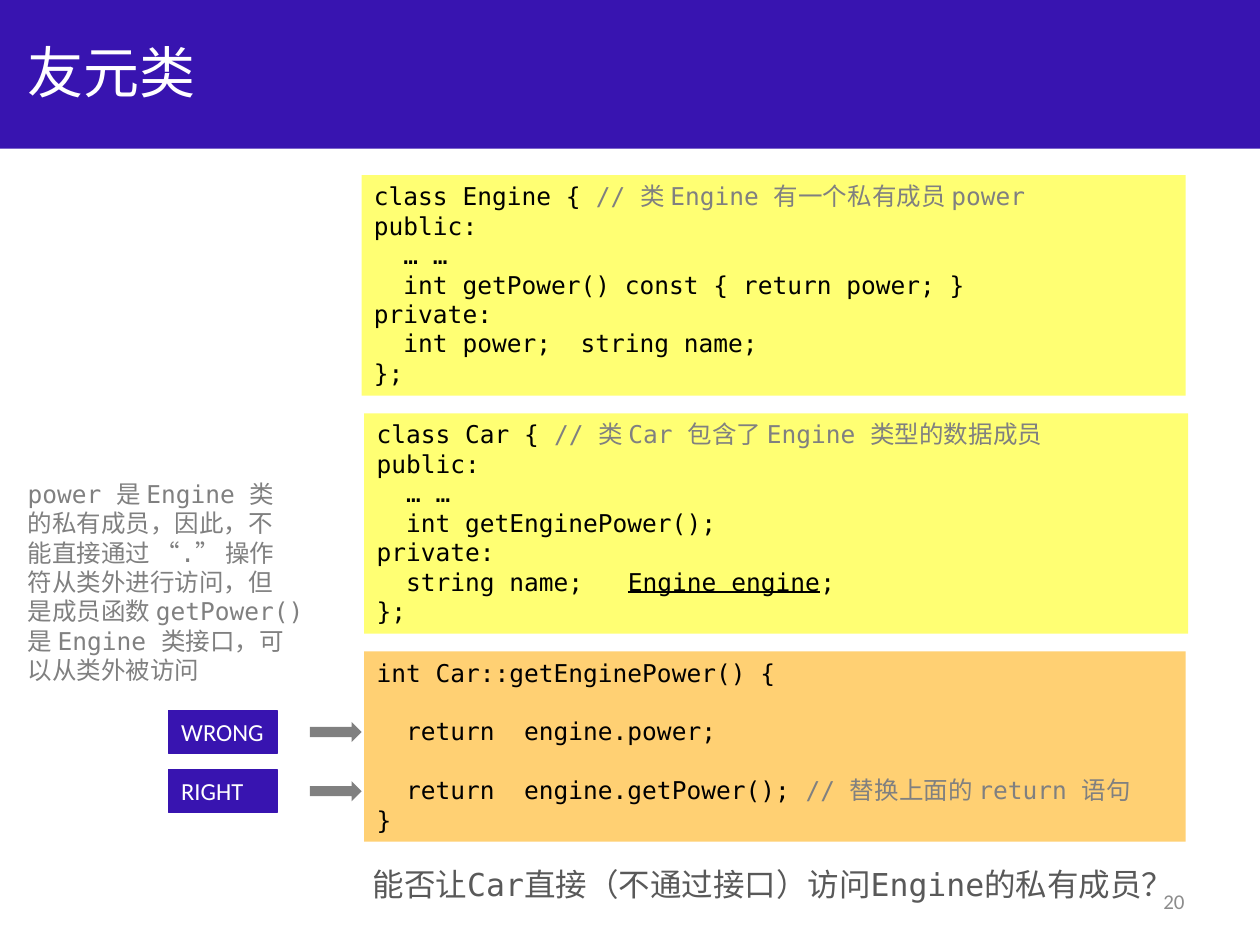
from dataclasses import dataclass
from pptx import Presentation
from pptx.dml.color import RGBColor as Rgb
from pptx.enum.shapes import MSO_SHAPE as Preset
from pptx.enum.text import MSO_ANCHOR as Anchor, PP_ALIGN as Align
from pptx.util import Inches, Pt


@dataclass(frozen=True)
class Theme:
    sans: str = "Calibri"
    mono: str = "DejaVu Sans Mono"
    violet: str = "3814B0"
    yellow: str = "FFFF73"
    orange: str = "FFD073"
    white: str = "FFFFFF"
    black: str = "000000"
    grey: str = "808080"
    dark_grey: str = "595959"
    pale_grey: str = "8C8C8C"
    title: int = 32
    question: int = 18
    body: int = 14
    number: int = 12
    line_height: float = 16.8


theme = Theme()


def add_block(preset, left, top, width, height, fill=None):
    """Add a filled shape, or a text box when there is no fill."""
    place = [Inches(v) for v in (left, top, width, height)]
    if fill is None:
        return page.shapes.add_textbox(*place)
    box = page.shapes.add_shape(preset, *place)
    box.shadow.inherit = False
    box.fill.solid()
    box.fill.fore_color.rgb = Rgb.from_string(fill)
    box.line.fill.background()
    return box


def write(box, lines, font, size, color, anchor=Anchor.TOP, align=Align.LEFT):
    """Write lines; a line is a string or a list of (text, style) spans.

    An empty line becomes spacing above the line that follows it.
    """
    frame = box.text_frame
    frame.word_wrap = True
    frame.vertical_anchor = anchor
    para, gap = None, 0
    for line in lines:
        if not line:
            gap += theme.line_height
            continue
        para = frame.paragraphs[0] if para is None else frame.add_paragraph()
        para.alignment = align
        para.space_before = Pt(gap)
        gap = 0
        para.font.name, para.font.size = font, Pt(size)
        para.font.color.rgb = Rgb.from_string(color)
        for text, style in [(line, None)] if isinstance(line, str) else line:
            span = para.add_run()
            span.text = text
            if style == "comment":
                span.font.color.rgb = Rgb.from_string(theme.grey)
            elif style == "underline":
                span.font.underline = True


deck = Presentation()
deck.slide_width, deck.slide_height = Inches(10), Inches(7.5)
page = deck.slides.add_slide(deck.slide_layouts[5])

# Title on its band
band = add_block(Preset.RECTANGLE, 0, 0, 10, 1.18, theme.violet)
page.shapes._spTree.insert(2, band._element)
title = page.shapes.title
title.left, title.top = Inches(0.12), Inches(0.06)
title.width, title.height = Inches(9), Inches(1.01)
write(title, ["友元类"], theme.sans, theme.title, theme.white, Anchor.MIDDLE)

# Code panels, stacked at an equal pitch
engine_code = [
    [("class Engine { ", None), ("// 类 Engine 有一个私有成员 power", "comment")],
    "public:",
    "  … …",
    "  int getPower() const { return power; }",
    "private:",
    "  int power;  string name;",
    "};",
]
car_code = [
    [("class Car { ", None), ("// 类 Car 包含了 Engine 类型的数据成员", "comment")],
    "public:",
    "  … …",
    "  int getEnginePower();",
    "private:",
    [("  string name;   ", None), ("Engine engine", "underline"), (";", None)],
    "};",
]
method_code = [
    "int Car::getEnginePower() {",
    "",
    "  return  engine.power;",
    "",
    [("  return  engine.getPower(); ", None),
     ("// 替换上面的 return 语句", "comment")],
    "}",
]
panels = [
    (2.87, 6.54, 1.75, theme.yellow, engine_code),
    (2.89, 6.54, 1.75, theme.yellow, car_code),
    (2.89, 6.52, 1.51, theme.orange, method_code),
]
for row, (left, width, height, fill, code) in enumerate(panels):
    panel = add_block(Preset.RECTANGLE, left, 1.39 + 1.89 * row, width, height, fill)
    write(panel, code, theme.mono, theme.body, theme.black)

# Verdict labels with arrows to the return statements
for row, verdict in enumerate(["WRONG", "RIGHT"]):
    top = 5.64 + 0.47 * row
    add_block(Preset.RIGHT_ARROW, 2.46, top + 0.09, 0.41, 0.16, theme.grey)
    label = add_block(Preset.RECTANGLE, 1.34, top, 0.86, 0.34, theme.violet)
    label.line.color.rgb = Rgb.from_string(theme.violet)
    label.line.width = Pt(0.75)
    write(label, [verdict], theme.sans, theme.body, theme.white)

# Side note
note = add_block(None, 0.12, 3.75, 2.49, 1.75)
write(note, [
    "power 是 Engine 类",
    "的私有成员，因此，不",
    "能直接通过 “.” 操作",
    "符从类外进行访问，但",
    "是成员函数 getPower()",
    "是 Engine 类接口，可",
    "以从类外被访问",
], theme.mono, theme.body, theme.grey)

# Closing question and page number
question = add_block(None, 2.86, 6.82, 6.5, 0.4)
write(question, ["能否让Car直接（不通过接口）访问Engine的私有成员？"],
      theme.mono, theme.question, theme.dark_grey)
number = add_block(None, 7.17, 6.95, 2.33, 0.4)
write(number, ["20"], theme.sans, theme.number, theme.pale_grey,
      Anchor.MIDDLE, Align.RIGHT)

deck.save("out.pptx")
